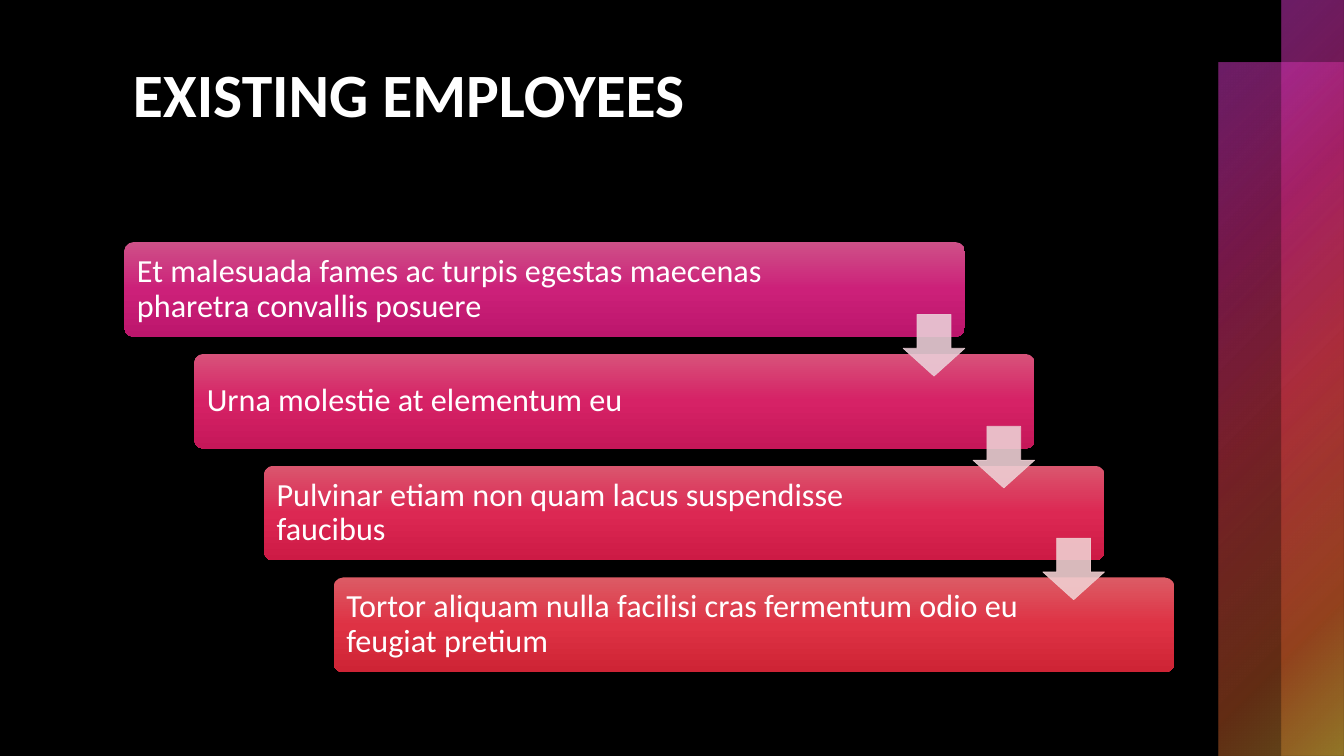
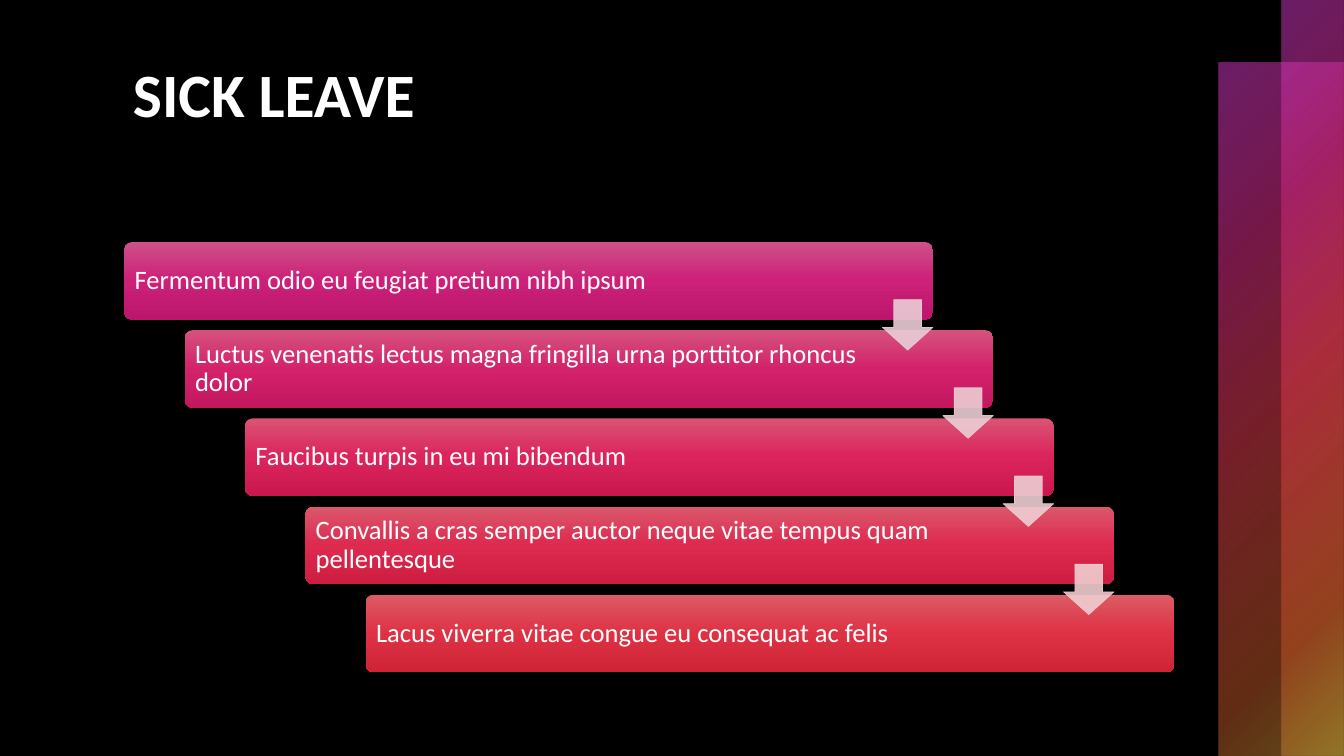
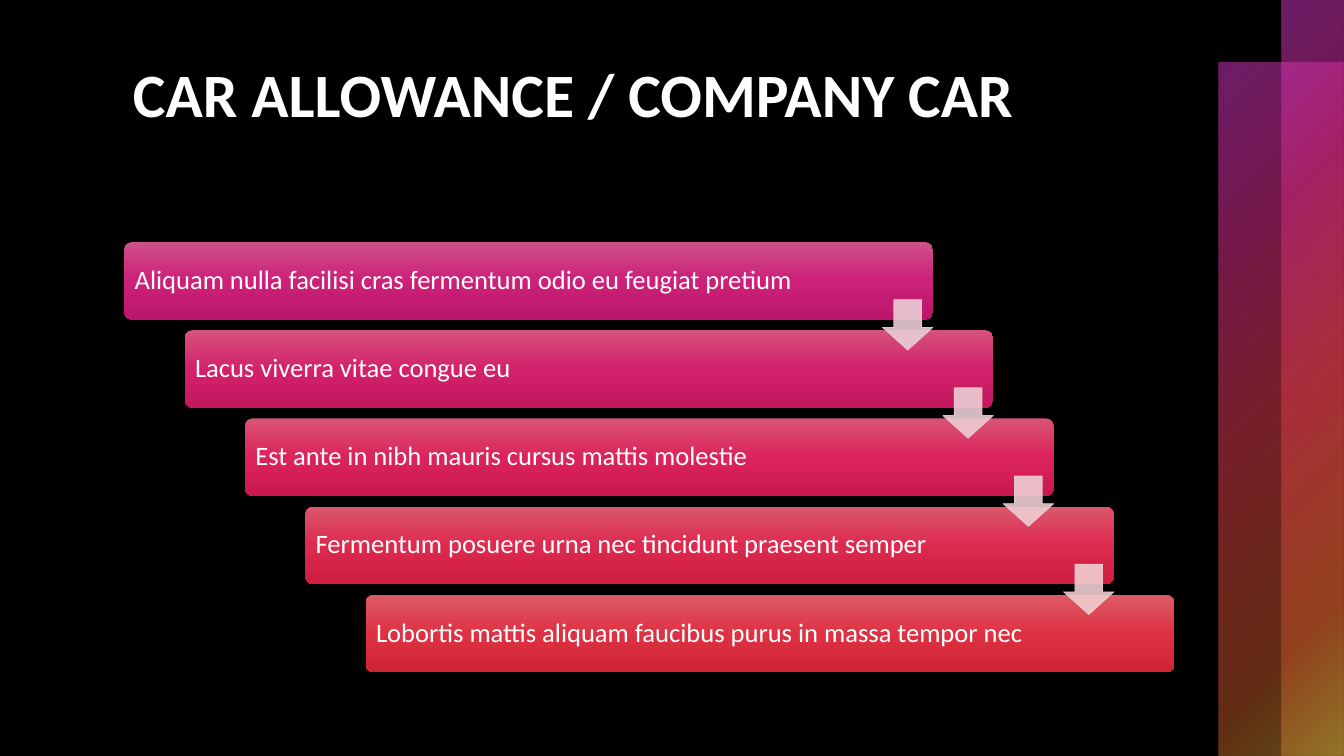
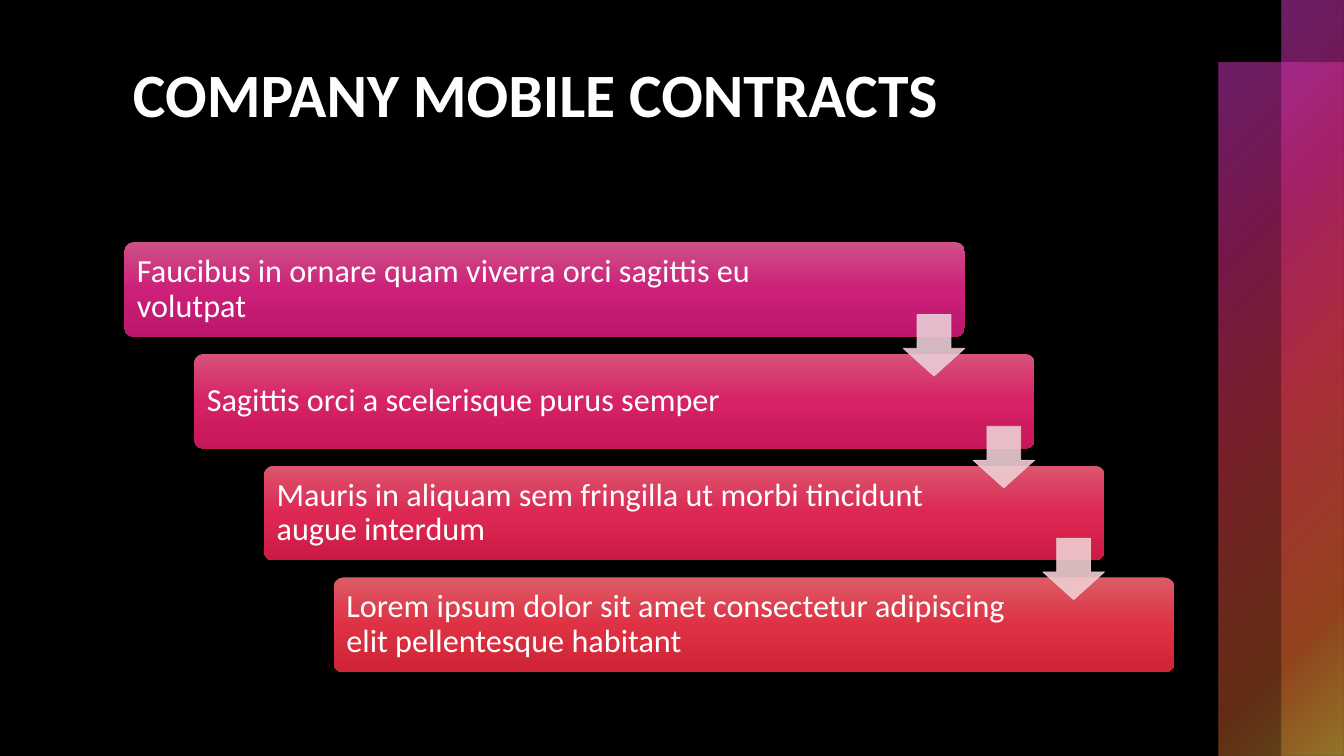
from dataclasses import dataclass
from pptx import Presentation
from pptx.dml.color import RGBColor
from pptx.enum.shapes import MSO_SHAPE
from pptx.enum.text import MSO_ANCHOR, MSO_AUTO_SIZE, PP_ALIGN
from pptx.oxml import parse_xml
from pptx.oxml.ns import nsdecls, qn
from pptx.util import Pt


@dataclass(frozen=True)
class Theme:
    font: str = "Calibri"
    back: str = "000000"
    text: str = "FFFFFF"
    title: int = 44
    # Band stops: position, colour, opacity in percent
    band: tuple = ((0, "D63ACC", 50), (25, "C42879", 60), (50, "D63A4A", 55),
                   (81, "C45928", 50), (99, "C39D35", 50))


theme = Theme()

# Stair style by number of steps: sizes, then top, middle and bottom colours
styles = {
    4: dict(size=23, wide=600.4, high=67.7, arrow=44, pad=7.2,
            steps=["CE5188 CC2079 BC166C", "D7527A D62266 C51759",
                   "DA566E DC2853 CD1A45", "DC5B65 DE3244 CE2435"],
            arrows=["EACDD7", "EDCED3", "F0CED0"]),
    5: dict(size=19, wide=577.6, high=55.4, arrow=36, pad=5.8,
            steps=["CE5188 CC2079 BC166C", "D5527E D3226B C3175E",
                   "D95474 DB235C CA184F", "DB576C DD2A4F CD1D41",
                   "DC5B65 DE3244 CE2435"],
            arrows=["EACDD7", "ECCDD4", "EECED2", "F0CED0"]),
}

pages = [
    ("EXISTING EMPLOYEES", [
        "Et malesuada fames ac turpis egestas maecenas pharetra convallis posuere",
        "Urna molestie at elementum eu",
        "Pulvinar etiam non quam lacus suspendisse faucibus",
        "Tortor aliquam nulla facilisi cras fermentum odio eu feugiat pretium"]),
    ("SICK LEAVE", [
        "Fermentum odio eu feugiat pretium nibh ipsum",
        "Luctus venenatis lectus magna fringilla urna porttitor rhoncus dolor",
        "Faucibus turpis in eu mi bibendum",
        "Convallis a cras semper auctor neque vitae tempus quam pellentesque",
        "Lacus viverra vitae congue eu consequat ac felis"]),
    ("CAR ALLOWANCE / COMPANY CAR", [
        "Aliquam nulla facilisi cras fermentum odio eu feugiat pretium",
        "Lacus viverra vitae congue eu",
        "Est ante in nibh mauris cursus mattis molestie",
        "Fermentum posuere urna nec tincidunt praesent semper",
        "Lobortis mattis aliquam faucibus purus in massa tempor nec"]),
    ("COMPANY MOBILE CONTRACTS", [
        "Faucibus in ornare quam viverra orci sagittis eu volutpat",
        "Sagittis orci a scelerisque purus semper",
        "Mauris in aliquam sem fringilla ut morbi tincidunt augue interdum",
        "Lorem ipsum dolor sit amet consectetur adipiscing elit pellentesque habitant"]),
]

# Stair frame in points
left, top, right, base = 88.8, 172.9, 838.8, 480.2


def add(slide, kind, x, y, w, h):
    """Add a preset shape without shadow."""
    shape = slide.shapes.add_shape(kind, Pt(x), Pt(y), Pt(w), Pt(h))
    shape.shadow.inherit = False
    return shape


def paint(shape, stops, shade):
    """Fill with gradient stops and drop the outline."""
    marks = "".join(
        f'<a:gs pos="{pos * 1000}"><a:srgbClr val="{hue}">'
        f'<a:alpha val="{alpha * 1000}"/></a:srgbClr></a:gs>'
        for pos, hue, alpha in stops)
    shape.fill.gradient()
    props = shape.element.spPr
    props.replace(props.find(qn("a:gradFill")), parse_xml(
        f'<a:gradFill {nsdecls("a")} rotWithShape="1">'
        f'<a:gsLst>{marks}</a:gsLst>{shade}</a:gradFill>'))
    shape.line.fill.background()


deck = Presentation()
deck.slide_width, deck.slide_height = Pt(960), Pt(540)

# Shared layout: background and title place
layout = deck.slide_layouts[5]
layout.background.fill.solid()
layout.background.fill.fore_color.rgb = RGBColor.from_string(theme.back)
for holder in list(layout.placeholders):
    if holder.placeholder_format.idx:
        holder.element.getparent().remove(holder.element)
    else:
        holder.left, holder.top = Pt(87.8), Pt(36)
        holder.width, holder.height = Pt(746.6), Pt(122.4)

slides = [deck.slides.add_slide(layout) for page in pages]

# Shared bands, moved from the first slide to the layout
radial = ('<a:path path="circle"><a:fillToRect l="0" t="0" r="100000" '
          'b="100000"/></a:path>')
for spot, (x, y) in enumerate([(870.5, 45), (915.5, 0)]):
    band = add(slides[0], MSO_SHAPE.RECTANGLE, x, y, 960 - x, 540 - y)
    paint(band, theme.band, radial)
    layout.shapes.element.insert(2 + spot, band.element)

for slide, (name, lines) in zip(slides, pages):
    # Title
    title = slide.shapes.title
    frame = title.text_frame
    frame.text = name
    frame.word_wrap = True
    frame.auto_size = MSO_AUTO_SIZE.NONE
    frame.vertical_anchor = MSO_ANCHOR.TOP
    frame.paragraphs[0].alignment = PP_ALIGN.LEFT
    font = frame.paragraphs[0].runs[0].font
    font.name, font.size, font.bold = theme.font, Pt(theme.title), True
    font.color.rgb = RGBColor.from_string(theme.text)

    # Steps, evenly spread across the frame
    style = styles[len(lines)]
    wide, high, size = style["wide"], style["high"], style["arrow"]
    gaps = len(lines) - 1
    dx = (right - left - wide) / gaps
    dy = (base - top - high) / gaps
    for i, line in enumerate(lines):
        step = add(slide, MSO_SHAPE.ROUNDED_RECTANGLE,
                   left + i * dx, top + i * dy, wide, high)
        step.adjustments[0] = 0.1
        hues = style["steps"][i].split()
        paint(step, zip((0, 50, 100), hues, (100, 100, 100)),
              '<a:lin ang="5400000" scaled="0"/>')
        frame = step.text_frame
        frame.text = line
        frame.word_wrap = True
        frame.vertical_anchor = MSO_ANCHOR.MIDDLE
        frame.margin_left = Pt(style["pad"])
        frame.margin_right = Pt(high * (1.52 if i else 1.22))
        frame.margin_top = frame.margin_bottom = 0
        para = frame.paragraphs[0]
        para.alignment, para.line_spacing = PP_ALIGN.LEFT, 0.9
        font = para.runs[0].font
        font.name, font.size = theme.font, Pt(style["size"])
        font.color.rgb = RGBColor.from_string(theme.text)

    # Arrows, centred on the gaps and flush with the upper step
    for i, hue in enumerate(style["arrows"]):
        arrow = add(slide, MSO_SHAPE.DOWN_ARROW,
                    left + i * dx + wide - size,
                    top + i * dy + (high + dy - size) / 2, size, size)
        arrow.adjustments[0], arrow.adjustments[1] = 0.55, 0.45
        arrow.fill.solid()
        arrow.fill.fore_color.rgb = RGBColor.from_string(hue)
        arrow.line.color.rgb = RGBColor.from_string(hue)
        arrow.line.width = Pt(0.5)
        for tint in arrow.element.spPr.iter(qn("a:srgbClr")):
            tint.append(parse_xml(f'<a:alpha {nsdecls("a")} val="90000"/>'))

deck.save("out.pptx")
